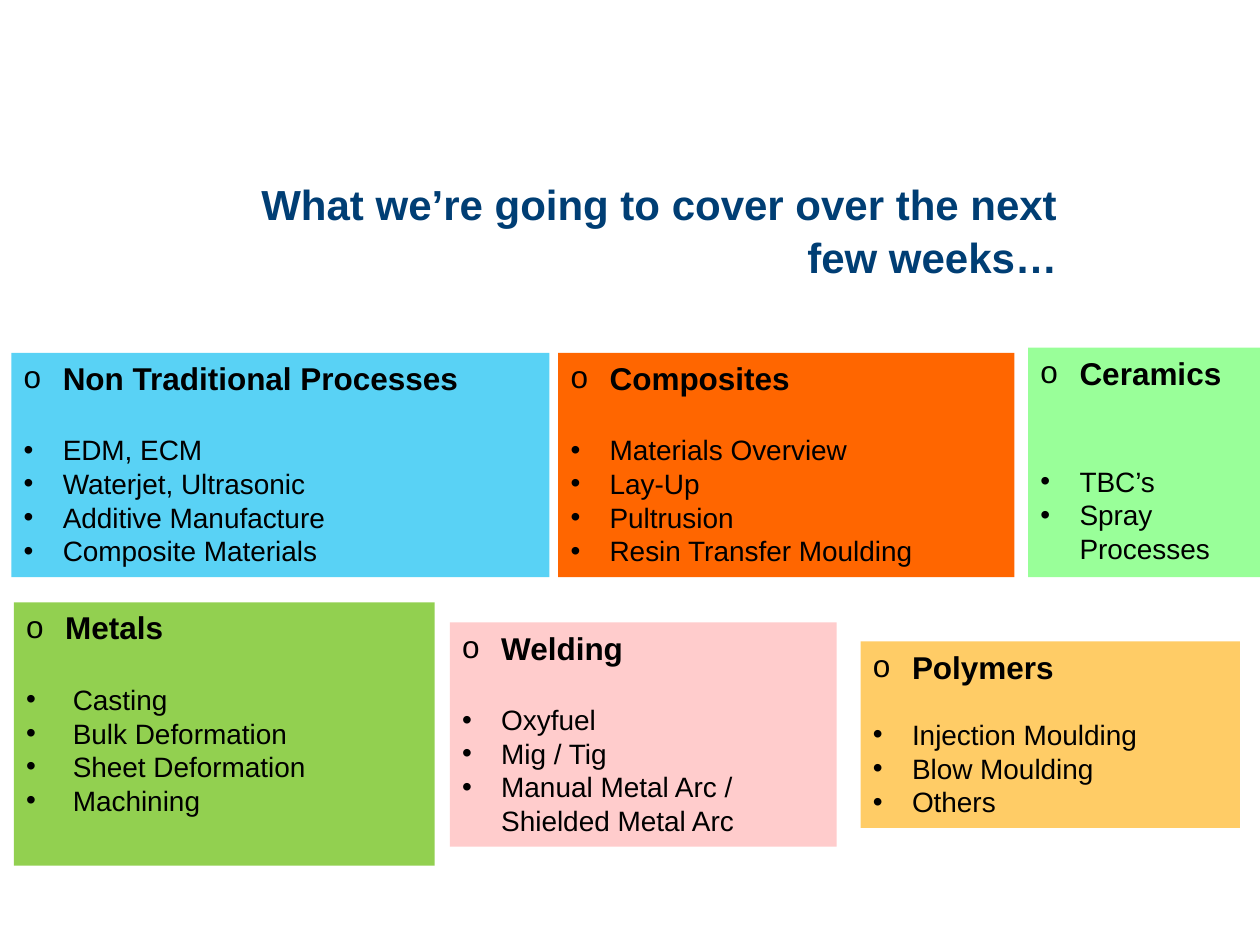
from dataclasses import dataclass

import pptx
import pptx.util
import pptx.dml.color
import pptx.enum.shapes
import pptx.enum.text
import pptx.oxml.ns
from lxml import etree
from pptx.util import Inches, Pt

FONT = "Arial"
HANG = 0.31
COLORS = {
    "navy": "003E74", "black": "000000", "green": "92D050",
    "amber": "FFCC66", "blue": "59D2F5", "pink": "FFCCCC",
    "mint": "99FF99", "orange": "FF6600",
}


@dataclass
class Topic:
    name: str
    color: str
    left: float
    top: float
    width: float
    height: float
    items: tuple[str, ...]
    gap: float = 20.7  # points between heading and list
    hang: float = HANG


TOPICS = (
    Topic("Metals", "green", 0.11, 4.78, 3.34, 2.09,
          ("Casting", "Bulk Deformation", "Sheet Deformation", "Machining"),
          hang=0.37),
    Topic("Polymers", "amber", 6.83, 5.09, 3.01, 1.48,
          ("Injection Moulding", "Blow Moulding", "Others"), gap=18.4),
    Topic("Non Traditional Processes", "blue", 0.09, 2.8, 4.27, 1.78,
          ("EDM, ECM", "Waterjet, Ultrasonic", "Additive Manufacture",
           "Composite Materials")),
    Topic("Welding", "pink", 3.57, 4.94, 3.07, 1.78,
          ("Oxyfuel", "Mig / Tig", "Manual Metal Arc / Shielded Metal Arc")),
    Topic("Ceramics", "mint", 8.16, 2.76, 1.84, 1.82,
          ("TBC’s", "Spray Processes"), gap=41.4),
    Topic("Composites", "orange", 4.43, 2.8, 3.62, 1.78,
          ("Materials Overview", "Lay-Up", "Pultrusion",
           "Resin Transfer Moulding")),
)


def rgb(name: str) -> pptx.dml.color.RGBColor:
    return pptx.dml.color.RGBColor.from_string(COLORS[name])


def style(para, size: float, color: str, bold: bool) -> None:
    font = para.font
    font.name, font.size, font.bold = FONT, Pt(size), bold
    font.color.rgb = rgb(color)


def add_mark(para, mark: str, hang: float) -> None:
    """Give the paragraph a bullet with a hanging indent."""
    props = para._p.get_or_add_pPr()
    props.set("marL", str(Inches(hang)))
    props.set("indent", str(-Inches(hang)))
    face = etree.SubElement(props, pptx.oxml.ns.qn("a:buFont"))
    face.set("typeface", FONT)
    bullet = etree.SubElement(props, pptx.oxml.ns.qn("a:buChar"))
    bullet.set("char", mark)


def add_title(slide, text: str) -> None:
    box = slide.shapes.add_textbox(
        Inches(1.59), Inches(1.39), Inches(6.8), Inches(1.4))
    frame = box.text_frame
    frame.word_wrap = True
    frame.margin_left = frame.margin_right = 0
    frame.margin_top = frame.margin_bottom = 0
    para = frame.paragraphs[0]
    para.text = text
    para.alignment = pptx.enum.text.PP_ALIGN.RIGHT
    para.line_spacing = 1.06
    style(para, 24, "navy", True)


def add_topic(slide, topic: Topic) -> None:
    card = slide.shapes.add_shape(
        pptx.enum.shapes.MSO_SHAPE.RECTANGLE,
        Inches(topic.left), Inches(topic.top),
        Inches(topic.width), Inches(topic.height))
    card.shadow.inherit = False
    card.fill.solid()
    card.fill.fore_color.rgb = rgb(topic.color)
    card.line.fill.background()
    frame = card.text_frame
    frame.word_wrap = True
    frame.vertical_anchor = pptx.enum.text.MSO_ANCHOR.TOP

    head = frame.paragraphs[0]
    head.text = topic.name
    head.space_after = Pt(topic.gap)
    add_mark(head, "o", HANG)
    style(head, 18, "black", True)
    for item in topic.items:
        para = frame.add_paragraph()
        para.text = item
        add_mark(para, "•", topic.hang)
        style(para, 16, "black", False)
    for para in frame.paragraphs:
        para.alignment = pptx.enum.text.PP_ALIGN.LEFT


def main() -> None:
    deck = pptx.Presentation()
    deck.slide_width, deck.slide_height = Inches(10), Inches(7.5)
    slide = deck.slides.add_slide(deck.slide_layouts[6])
    add_title(slide, "What we’re going to cover over the next few weeks…")
    for topic in TOPICS:
        add_topic(slide, topic)
    deck.save("out.pptx")


if __name__ == "__main__":
    main()
